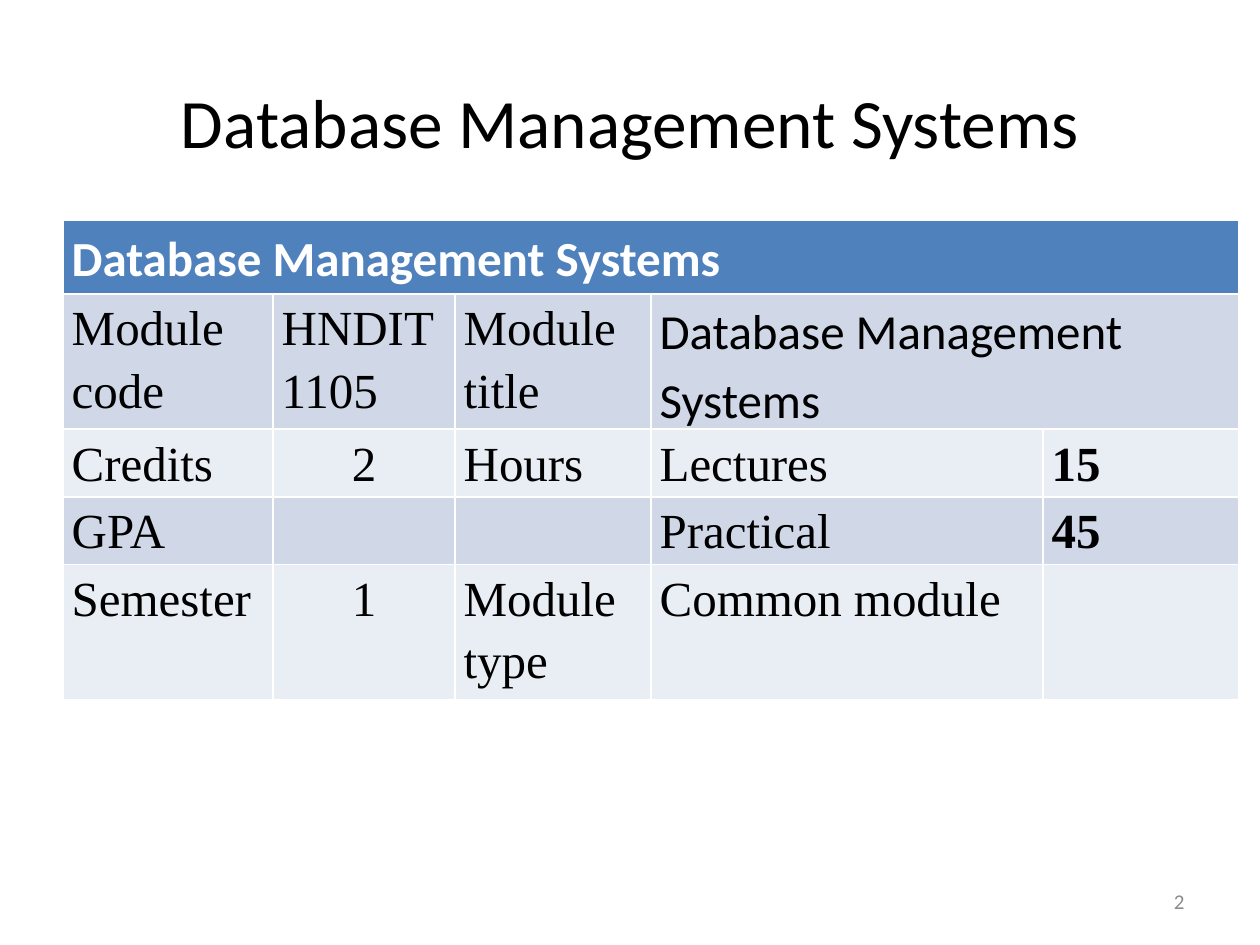
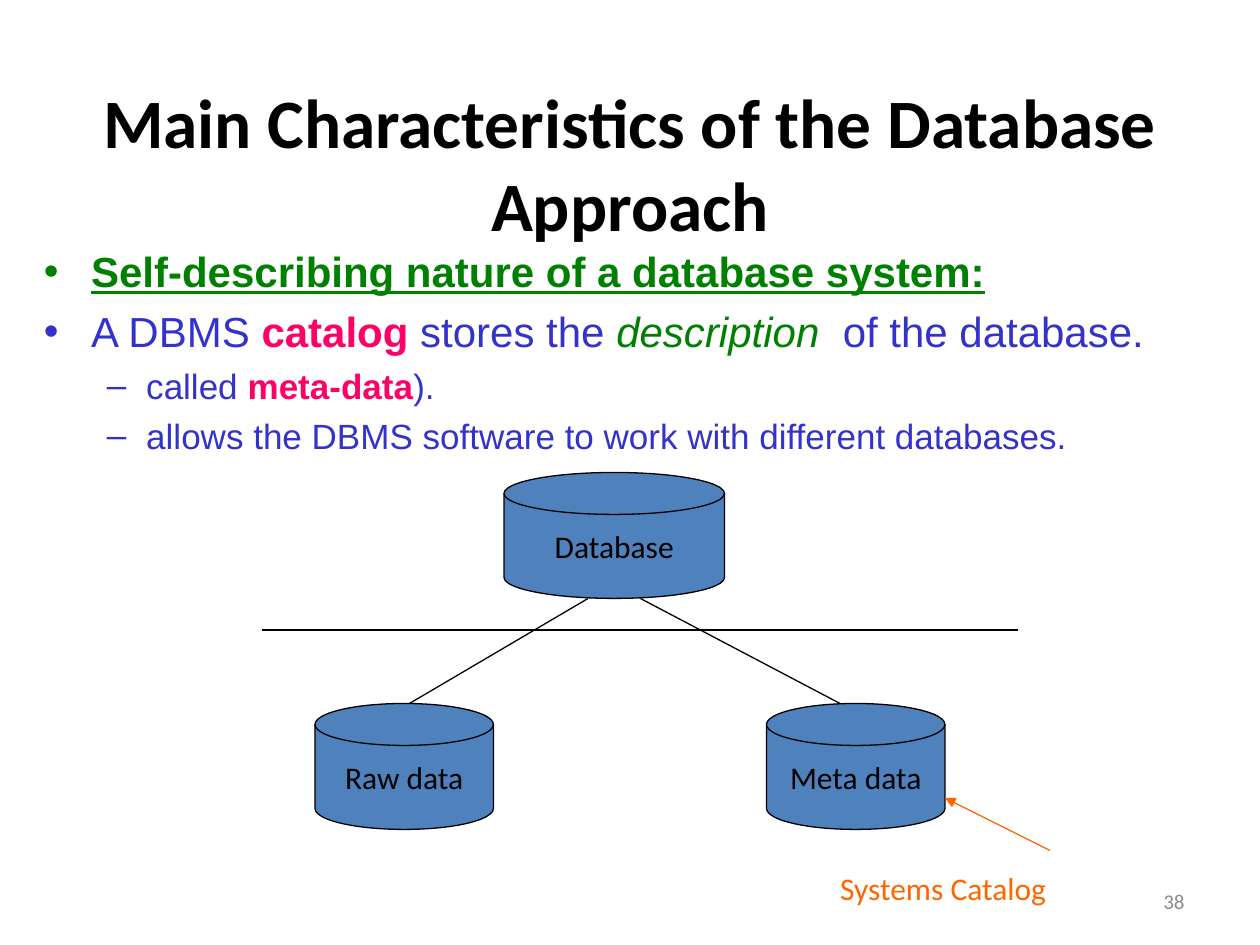
from pptx import Presentation
from pptx.dml.color import RGBColor as RGB
from pptx.enum.shapes import MSO_CONNECTOR as LINE, MSO_SHAPE as SHAPE
from pptx.enum.text import MSO_ANCHOR as ANCHOR, PP_ALIGN as ALIGN
from pptx.oxml.ns import qn
from pptx.util import Pt
from lxml.etree import SubElement

BLACK, WHITE = RGB(0, 0, 0), RGB(255, 255, 255)
BLUE, GRAY = RGB(0x4F, 0x81, 0xBD), RGB(0x8C, 0x8C, 0x8C)
BANDS = RGB(0xD0, 0xD8, 0xE8), RGB(0xE9, 0xED, 0xF4)
GREEN, INDIGO = RGB(0, 0x80, 0), RGB(0x33, 0x33, 0xCC)
PINK, ORANGE = RGB(0xFF, 0, 0x66), RGB(0xFF, 0x66, 0)
SANS, BODY, SERIF = "Calibri", "Arial", "Times New Roman"

# Content: module table
NAME = "Database Management Systems"
ROWS = [
    [NAME, "", "", "", ""],
    ["Module code", "HNDIT 1105", "Module title", NAME, ""],
    ["Credits", "2", "Hours", "Lectures", "15"],
    ["GPA", "", "", "Practical", "45"],
    ["Semester", "1", "Module type", "Common module", ""],
]
COLS = [120, 104, 112, 224, 112]
HEAD_H, ROW_H = 42, 29.5
MERGES = [((0, 0), (0, 4)), ((1, 3), (1, 4))]

# Content: bullets as (level, runs), each run as (text, color, styles)
BULLETS = [
    (0, [("Self-describing nature of a database system:", GREEN, "bu")]),
    (0, [("A DBMS ", INDIGO, ""), ("catalog ", PINK, "b"),
         ("stores the ", INDIGO, ""), ("description  ", GREEN, "i"),
         ("of the database.", INDIGO, "")]),
    (1, [("called ", INDIGO, ""), ("meta-data", PINK, "b"),
         (").", INDIGO, "")]),
    (1, [("allows the DBMS software to work with different databases.",
          INDIGO, "")]),
]
# Level: mark, text size, left margin, hanging indent, space before
LEVELS = [("•", 24, 27, 27, 5.5), ("–", 20, 58.5, 22.5, 4.6)]

# Content: diagram
DISK_H = 72
DISKS = [("Database", 288, 270, 126), ("Raw data", 180, 402, 102),
         ("Meta data", 438, 402, 102)]
LINKS = [(336, 342, 234, 402), (366, 342, 480, 402), (150, 360, 582, 360)]
ARROW = (600, 486, 540, 456)


def style(font, size, color, name=SANS, bold=False):
    font.size, font.name, font.bold = Pt(size), name, bold
    font.color.rgb = color


def add_text(slide, text, box, size, color, align=ALIGN.LEFT,
             anchor=ANCHOR.TOP, bold=False, wrap=True):
    frame = slide.shapes.add_textbox(*map(Pt, box)).text_frame
    frame.word_wrap, frame.vertical_anchor = wrap, anchor
    frame.text = text
    para = frame.paragraphs[0]
    para.alignment = align
    style(para.runs[0].font, size, color, bold=bold)
    return frame


def add_page(deck, title, number, bold=False):
    slide = deck.slides.add_slide(deck.slide_layouts[6])
    frame = add_text(slide, title, (36, 45, 648, 96), 39.6, BLACK,
                     ALIGN.CENTER, bold=bold)
    frame.margin_top = 0
    add_text(slide, number, (516, 500.4, 168, 28.8), 12, GRAY,
             ALIGN.RIGHT, ANCHOR.MIDDLE)
    return slide


def add_grid(slide):
    high = HEAD_H + ROW_H * (len(ROWS) - 1)
    table = slide.shapes.add_table(len(ROWS), len(COLS), Pt(36), Pt(126),
                                   Pt(sum(COLS)), Pt(high)).table
    for col, wide in zip(table.columns, COLS):
        col.width = Pt(wide)
    for r, row in enumerate(ROWS):
        table.rows[r].height = Pt(ROW_H if r else HEAD_H)
        for c, text in enumerate(row):
            cell = table.cell(r, c)
            cell.fill.solid()
            cell.fill.fore_color.rgb = BANDS[(r - 1) % 2] if r else BLUE
            cell.margin_left = cell.margin_right = Pt(5)
            cell.margin_top = cell.margin_bottom = 0
            if not text:
                continue
            cell.text = text
            para = cell.text_frame.paragraphs[0]
            para.line_spacing = 1.15
            if c == 1 and r > 1:
                para.alignment = ALIGN.CENTER
            style(para.runs[0].font, 28, BLACK if r else WHITE,
                  SANS if text == NAME else SERIF, r == 0 or c == 4)
    for first, last in MERGES:
        table.cell(*first).merge(table.cell(*last))


def add_bullets(slide):
    box = slide.shapes.add_textbox(Pt(18), Pt(137), Pt(678), Pt(345))
    frame = box.text_frame
    frame.word_wrap = True
    for i, (level, runs) in enumerate(BULLETS):
        mark, size, left, hang, gap = LEVELS[level]
        para = frame.add_paragraph() if i else frame.paragraphs[0]
        para.level = level
        para.space_before = Pt(gap if i else 0)
        props = para._p.get_or_add_pPr()
        props.set("marL", str(Pt(left)))
        props.set("indent", str(-Pt(hang)))
        SubElement(props, qn("a:buFont"), typeface=BODY)
        SubElement(props, qn("a:buChar"), char=mark)
        for text, color, marks in runs:
            run = para.add_run()
            run.text = text
            style(run.font, size, color, BODY, "b" in marks)
            run.font.italic = "i" in marks
            run.font.underline = "u" in marks


def add_line(slide, ends, color=BLACK):
    line = slide.shapes.add_connector(LINE.STRAIGHT, *map(Pt, ends))
    line.line.color.rgb, line.line.width = color, Pt(0.75)
    SubElement(line._element.spPr, qn("a:effectLst"))
    return line


def add_disk(slide, text, left, top, wide):
    disk = slide.shapes.add_shape(SHAPE.FLOWCHART_MAGNETIC_DISK, Pt(left),
                                  Pt(top), Pt(wide), Pt(DISK_H))
    disk.shadow.inherit = False
    disk.fill.solid()
    disk.fill.fore_color.rgb = BLUE
    disk.line.color.rgb, disk.line.width = BLACK, Pt(0.75)
    frame = disk.text_frame
    frame.word_wrap, frame.vertical_anchor = False, ANCHOR.MIDDLE
    frame.text = text
    para = frame.paragraphs[0]
    para.alignment = ALIGN.CENTER
    style(para.runs[0].font, 18, BLACK)


def main():
    deck = Presentation()
    deck.slide_width, deck.slide_height = Pt(720), Pt(540)

    # Module overview
    add_grid(add_page(deck, NAME, "2"))

    # Database approach
    slide = add_page(deck, "Main Characteristics of the Database Approach",
                     "38", bold=True)
    add_bullets(slide)
    for disk in DISKS:
        add_disk(slide, *disk)
    for ends in LINKS:
        add_line(slide, ends)
    add_text(slide, "Systems Catalog", (473, 493, 176, 31), 18, ORANGE,
             wrap=False)
    arrow = add_line(slide, ARROW, ORANGE)
    SubElement(arrow.line._get_or_add_ln(), qn("a:tailEnd"), type="triangle")

    deck.save("out.pptx")


if __name__ == "__main__":
    main()
